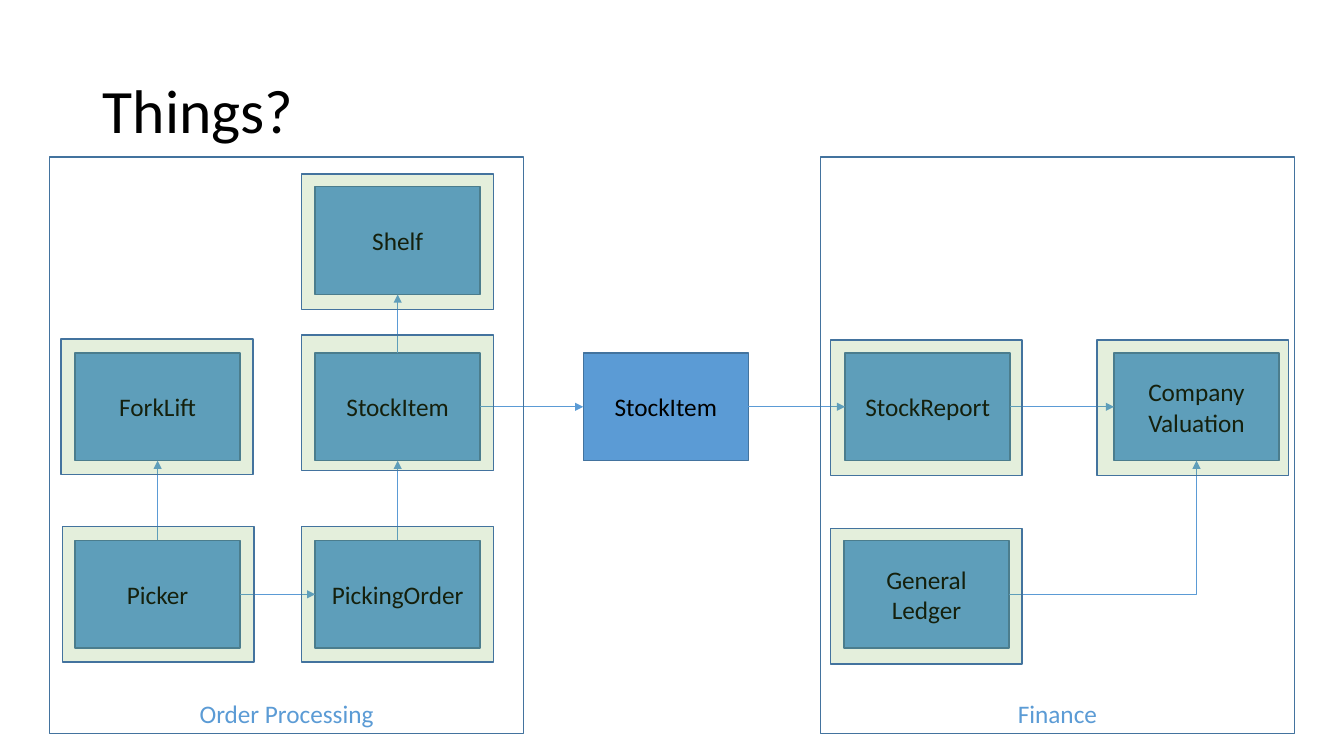
from lxml.etree import SubElement
from pptx import Presentation
from pptx.dml.color import RGBColor
from pptx.enum.shapes import MSO_CONNECTOR, MSO_SHAPE
from pptx.enum.text import MSO_ANCHOR, PP_ALIGN
from pptx.oxml.ns import qn
from pptx.util import Cm, Pt

COLORS = {
    "thing": "5B9BD5",
    "outline": "43739E",
    "halo": "70AD47",
    "text": "000000",
}
FONT = "Calibri"
LABEL_SIZE = 18.4
THING_SIZE = (4.24, 2.77)
HALO_SIZE = (4.93, 3.48)
CONTEXT_SIZE = (12.19, 14.81)
CONTEXT_TOP = 4.04
TOP_ROW, MIDDLE_ROW, BOTTOM_ROW = 4.8, 9.07, 13.89
TOP, LEFT, BOTTOM, RIGHT = range(4)

# key: (label, left, top)
THINGS = {
    "forklift": ("ForkLift", 1.93, MIDDLE_ROW),
    "picker": ("Picker", 1.93, BOTTOM_ROW),
    "order": ("PickingOrder", 8.1, BOTTOM_ROW),
    "item": ("StockItem", 8.1, MIDDLE_ROW),
    "shelf": ("Shelf", 8.1, TOP_ROW),
    "shared item": ("StockItem", 14.99, MIDDLE_ROW),
    "report": ("StockReport", 21.72, MIDDLE_ROW),
    "valuation": ("Company Valuation", 28.63, MIDDLE_ROW),
    "ledger": ("General Ledger", 21.69, BOTTOM_ROW),
}
# (source, side, target, side)
RELATIONS = [
    ("picker", TOP, "forklift", BOTTOM),
    ("picker", RIGHT, "order", LEFT),
    ("order", TOP, "item", BOTTOM),
    ("item", TOP, "shelf", BOTTOM),
    ("item", RIGHT, "shared item", LEFT),
    ("shared item", RIGHT, "report", LEFT),
    ("report", RIGHT, "valuation", LEFT),
    ("ledger", RIGHT, "valuation", BOTTOM),
]
CONTEXTS = [("Order Processing", 1.27), ("Finance", 21.08)]
HALOS = [
    (7.75, 4.47), (7.75, 8.61), (7.75, 13.54), (1.57, 8.71),
    (1.6, 13.54), (21.34, 8.74), (28.19, 8.74), (21.34, 13.59),
]


def rgb(name):
    return RGBColor.from_string(COLORS[name])


def write(frame, text, size, color, anchor):
    frame.word_wrap = True
    frame.vertical_anchor = anchor
    paragraph = frame.paragraphs[0]
    paragraph.text = text
    font = paragraph.runs[0].font
    font.name, font.size = FONT, Pt(size)
    font.color.rgb = rgb(color)
    return paragraph


def add_title(slide, text):
    title = slide.shapes.add_textbox(Cm(2.39), Cm(1.04), Cm(29.79), Cm(3.76))
    paragraph = write(title.text_frame, text, 44.9, "text", MSO_ANCHOR.MIDDLE)
    paragraph.line_spacing = 0.9


def add_outlined_box(slide, left, top, size):
    """Add an unfilled rectangle with the common outline."""
    box = slide.shapes.add_shape(
        MSO_SHAPE.RECTANGLE, Cm(left), Cm(top), *map(Cm, size))
    box.shadow.inherit = False
    box.fill.background()
    box.line.color.rgb = rgb("outline")
    box.line.width = Pt(1)
    return box


def fill_box(box, color):
    box.fill.solid()
    box.fill.fore_color.rgb = rgb(color)


def label_box(box, text, color, anchor):
    paragraph = write(box.text_frame, text, LABEL_SIZE, color, anchor)
    paragraph.alignment = PP_ALIGN.CENTER


def add_thing(slide, label, left, top):
    thing = add_outlined_box(slide, left, top, THING_SIZE)
    fill_box(thing, "thing")
    label_box(thing, label, "text", MSO_ANCHOR.MIDDLE)
    return thing


def add_context(slide, label, left):
    context = add_outlined_box(slide, left, CONTEXT_TOP, CONTEXT_SIZE)
    label_box(context, label, "thing", MSO_ANCHOR.BOTTOM)


def add_halo(slide, left, top):
    """Add a translucent green frame laid over a thing."""
    halo = add_outlined_box(slide, left, top, HALO_SIZE)
    fill_box(halo, "halo")
    tint = halo.fill._xPr.find(f".//{qn('a:srgbClr')}")
    SubElement(tint, qn("a:alpha"), val="19000")


def add_relation(slide, source, source_side, target, target_side):
    """Join two things with an arrow, bent once if it turns a corner."""
    bent = source_side % 2 != target_side % 2
    kind = MSO_CONNECTOR.ELBOW if bent else MSO_CONNECTOR.STRAIGHT
    arrow = slide.shapes.add_connector(kind, Cm(0), Cm(0), Cm(0), Cm(0))
    arrow.begin_connect(source, source_side)
    arrow.end_connect(target, target_side)
    arrow.line.color.rgb = rgb("thing")
    arrow.line.width = Pt(0.5)
    properties = arrow._element.spPr
    if bent:
        properties.find(qn("a:prstGeom")).set("prst", "bentConnector2")
    SubElement(arrow.line._get_or_add_ln(), qn("a:tailEnd"), type="triangle")
    SubElement(properties, qn("a:effectLst"))


def main():
    presentation = Presentation()
    presentation.slide_width = Cm(34.54)
    presentation.slide_height = Cm(19.43)
    slide = presentation.slides.add_slide(presentation.slide_layouts[6])

    add_title(slide, "Things?")
    things = {key: add_thing(slide, *thing) for key, thing in THINGS.items()}
    for source, source_side, target, target_side in RELATIONS:
        add_relation(slide, things[source], source_side,
                     things[target], target_side)
    for label, left in CONTEXTS:
        add_context(slide, label, left)
    for left, top in HALOS:
        add_halo(slide, left, top)

    presentation.save("out.pptx")


if __name__ == "__main__":
    main()
